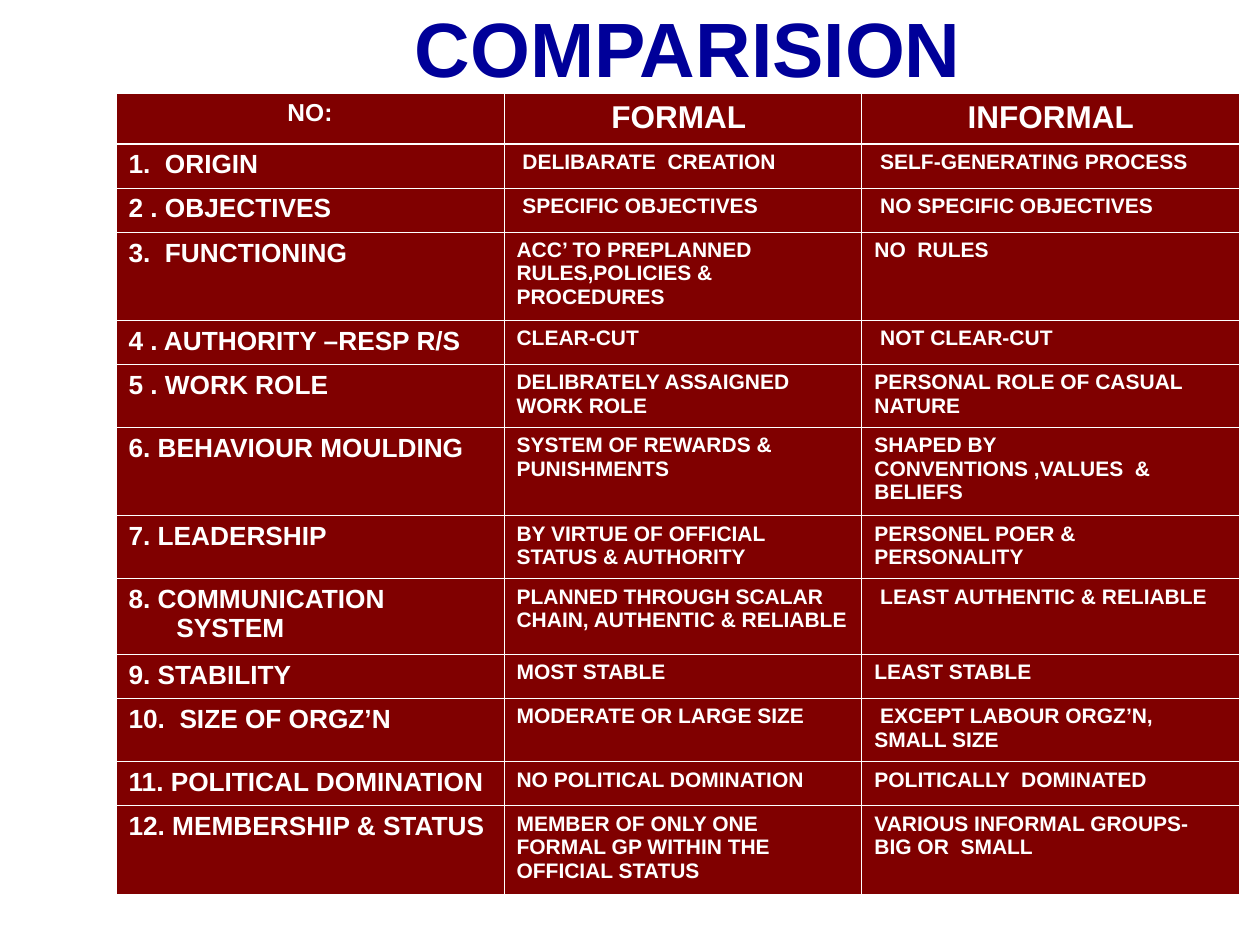
from dataclasses import dataclass

from lxml import etree
from pptx import Presentation
from pptx.dml.color import RGBColor
from pptx.enum import text
from pptx.oxml import ns
from pptx.util import Inches, Pt


@dataclass(frozen=True)
class Theme:
    font: str = "Arial"
    title_color: str = "000099"
    cell_fill: str = "800000"
    cell_text: str = "FFFFFF"
    rule: str = "FFFFFF"
    title_size: int = 44
    number_size: int = 14
    heading_size: int = 18
    aspect_size: int = 15
    detail_size: int = 12
    thin_rule: float = 0.45
    header_rule: float = 1.47


THEME = Theme()
COLUMN_WIDTHS = (3.08, 2.84, 3)
HEADINGS = ("NO:", "FORMAL ", "INFORMAL")
HEADER_HEIGHT = 0.4

# Row height, aspect, formal organisation, informal organisation
COMPARISONS = (
    (0.35, "1.  ORIGIN", " DELIBARATE  CREATION", " SELF-GENERATING PROCESS"),
    (0.35, "2 . OBJECTIVES", " SPECIFIC OBJECTIVES", " NO SPECIFIC OBJECTIVES"),
    (0.7, "3.  FUNCTIONING", "ACC’ TO PREPLANNED RULES,POLICIES & PROCEDURES", "NO  RULES"),
    (0.35, "4 . AUTHORITY –RESP R/S", "CLEAR-CUT", " NOT CLEAR-CUT"),
    (0.5, "5 . WORK ROLE", "DELIBRATELY ASSAIGNED WORK ROLE",
     "PERSONAL ROLE OF CASUAL NATURE"),
    (0.7, "6. BEHAVIOUR MOULDING", "SYSTEM OF REWARDS & PUNISHMENTS",
     "SHAPED BY CONVENTIONS ,VALUES  & BELIEFS"),
    (0.5, "7. LEADERSHIP", "BY VIRTUE OF OFFICIAL STATUS & AUTHORITY",
     "PERSONEL POER & PERSONALITY"),
    (0.6, "8. COMMUNICATION SYSTEM", "PLANNED THROUGH SCALAR CHAIN, AUTHENTIC & RELIABLE",
     " LEAST AUTHENTIC & RELIABLE"),
    (0.35, "9. STABILITY", "MOST STABLE", "LEAST STABLE"),
    (0.5, "10.  SIZE OF ORGZ’N", "MODERATE OR LARGE SIZE",
     " EXCEPT LABOUR ORGZ’N, SMALL SIZE"),
    (0.35, "11. POLITICAL DOMINATION", "NO POLITICAL DOMINATION", "POLITICALLY  DOMINATED"),
    (0.7, "12. MEMBERSHIP & STATUS", "MEMBER OF ONLY ONE FORMAL GP WITHIN THE OFFICIAL STATUS",
     "VARIOUS INFORMAL GROUPS- BIG OR  SMALL"),
)


def write(paragraph, wording, size, color, align):
    paragraph.alignment = align
    run = paragraph.add_run()
    run.text = wording
    run.font.name = THEME.font
    run.font.size = Pt(size)
    run.font.bold = True
    run.font.color.rgb = RGBColor.from_string(color)


def add_title(slide, wording):
    title = slide.shapes.add_textbox(Inches(1.5), Inches(0.08), Inches(7.92), Inches(0.58))
    frame = title.text_frame
    frame.word_wrap = True
    frame.vertical_anchor = text.MSO_ANCHOR.MIDDLE
    write(frame.paragraphs[0], wording, THEME.title_size, THEME.title_color,
          text.PP_ALIGN.CENTER)


def rule_cell(cell, top, bottom):
    """Draw the four cell borders; they must precede the fill in the XML."""
    properties = cell._tc.get_or_add_tcPr()
    widths = {"L": THEME.thin_rule, "R": THEME.thin_rule, "T": top, "B": bottom}
    for side, width in widths.items():
        line = etree.SubElement(properties, ns.qn(f"a:ln{side}"), w=str(int(Pt(width))))
        fill = etree.SubElement(line, ns.qn("a:solidFill"))
        etree.SubElement(fill, ns.qn("a:srgbClr"), val=THEME.rule)


def hang_indent(paragraph, depth):
    properties = paragraph._p.get_or_add_pPr()
    properties.set("marL", str(depth))
    properties.set("indent", str(-depth))


def fill_cell(cell, wording, row, column):
    is_header = row == 0
    rule_cell(cell,
              top=THEME.header_rule if row == 1 else THEME.thin_rule,
              bottom=THEME.header_rule if is_header else THEME.thin_rule)
    cell.fill.solid()
    cell.fill.fore_color.rgb = RGBColor.from_string(THEME.cell_fill)
    paragraph = cell.text_frame.paragraphs[0]
    if is_header:
        size = THEME.heading_size if column else THEME.number_size
    else:
        size = THEME.detail_size if column else THEME.aspect_size
    align = text.PP_ALIGN.CENTER if is_header else text.PP_ALIGN.LEFT
    write(paragraph, wording, size, THEME.cell_text, align)
    if column == 0 and not is_header:
        hang_indent(paragraph, Inches(0.38))


def add_comparison(slide):
    rows = ((HEADER_HEIGHT, *HEADINGS), *COMPARISONS)
    table = slide.shapes.add_table(
        len(rows), len(COLUMN_WIDTHS), Inches(0.92), Inches(0.74),
        Inches(sum(COLUMN_WIDTHS)), Inches(sum(row[0] for row in rows))).table
    table.horz_banding = False
    for column, width in zip(table.columns, COLUMN_WIDTHS):
        column.width = Inches(width)
    for row, (height, *wordings) in enumerate(rows):
        table.rows[row].height = Inches(height)
        for column, wording in enumerate(wordings):
            fill_cell(table.cell(row, column), wording, row, column)


def main():
    deck = Presentation()
    deck.slide_width, deck.slide_height = Inches(10), Inches(7.5)
    slide = deck.slides.add_slide(deck.slide_layouts[6])
    add_title(slide, "COMPARISION")
    add_comparison(slide)
    deck.save("out.pptx")


if __name__ == "__main__":
    main()
